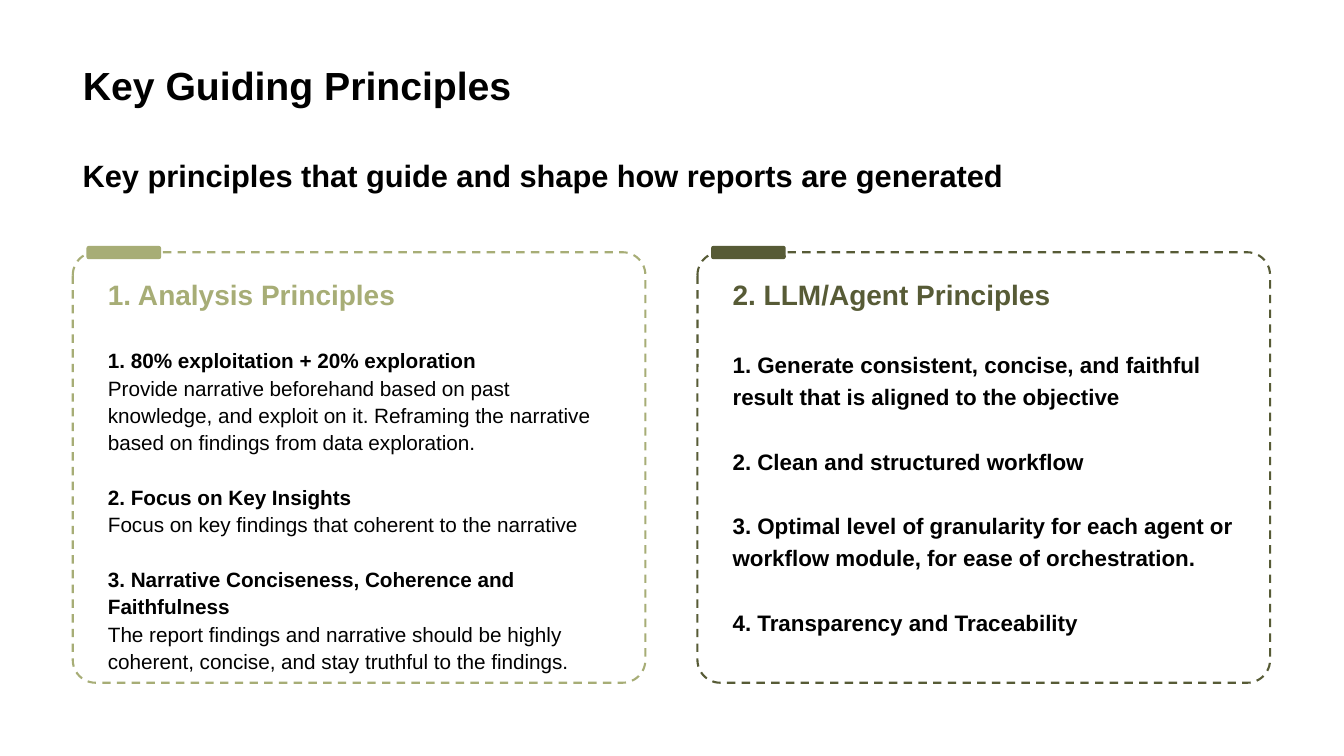
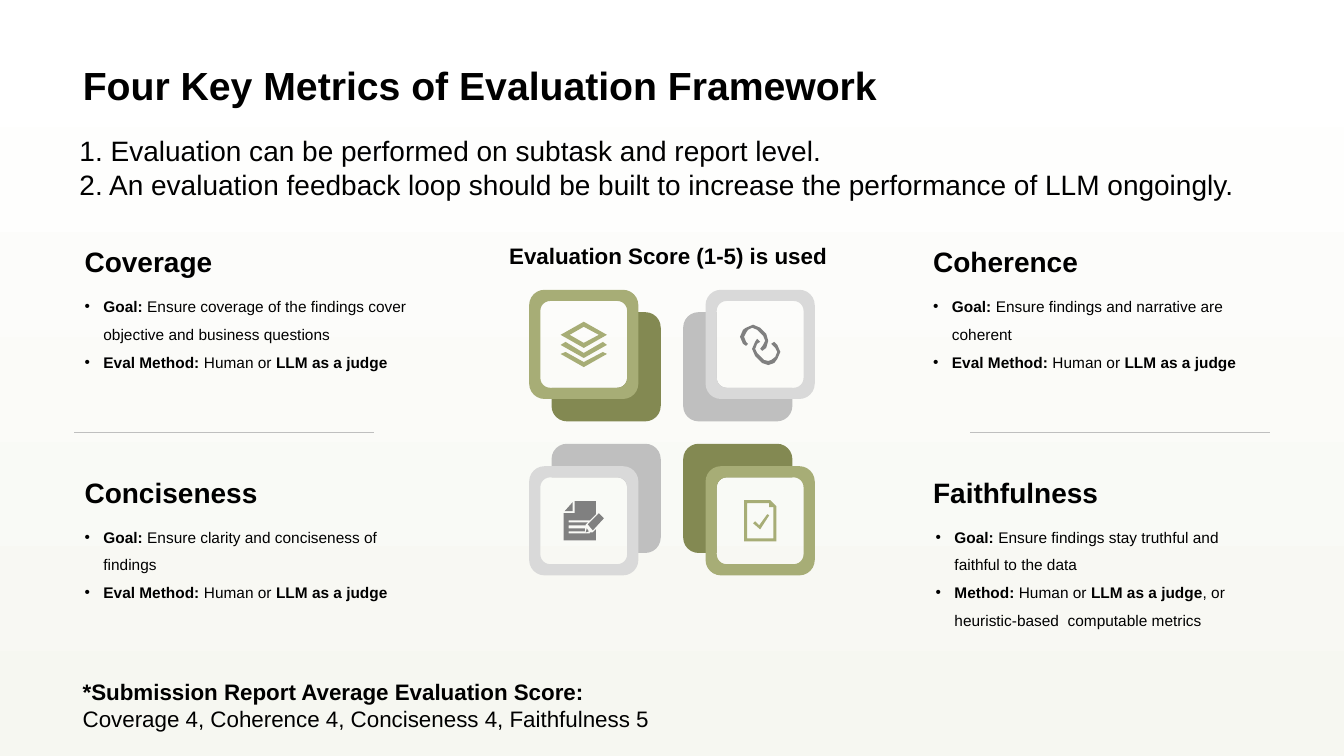
from math import cos, radians, sin
from lxml.etree import SubElement
from pptx import Presentation
from pptx.dml.color import RGBColor
from pptx.enum.dml import MSO_LINE
from pptx.enum.shapes import MSO_CONNECTOR, MSO_SHAPE
from pptx.enum.text import MSO_ANCHOR, MSO_AUTO_SIZE, PP_ALIGN
from pptx.oxml.ns import qn
from pptx.util import Pt

FONT = "Arial"
WIDE, HIGH = 960, 540
HEX = {
    "ink": "000000", "white": "FFFFFF", "mist": "F6F7F1",
    "sage": "A7AD76", "moss": "838952", "olive": "575B36",
    "pale": "D9D9D9", "silver": "BFBFBF", "gray": "808080",
}

CARDS = [
    {"head": "1. Analysis Principles", "color": "sage",
     "style": {"size": 14.8, "pitch": 1.1, "gap": 19.6},
     "lines": [
         "|1. 80% exploitation + 20% exploration|",
         "Provide narrative beforehand based on past knowledge, and exploit on it. "
         "Reframing the narrative based on findings from data exploration.",
         "|2. Focus on Key Insights|",
         "Focus on key findings that coherent to the narrative",
         "|3. Narrative Conciseness, Coherence and Faithfulness|",
         "The report findings and narrative should be highly coherent, concise, "
         "and stay truthful to the findings."]},
    {"head": "2. LLM/Agent Principles", "color": "olive",
     "style": {"size": 16, "pitch": 1.2, "gap": 23},
     "lines": [
         "|1. Generate consistent, concise, and faithful result that is aligned to the objective|",
         "|2. Clean and structured workflow|",
         "|3. Optimal level of granularity for each agent or workflow module, "
         "for ease of orchestration.|",
         "|4. Transparency and Traceability|"]},
]

JUDGE = "|Eval Method: |Human or |LLM as a judge|"
METRICS = [
    ("Coverage", 0, 0, 0, [
        "|Goal: |Ensure coverage of the findings cover objective and business questions", JUDGE]),
    ("Coherence", 1, 0, 0, ["|Goal: |Ensure findings and narrative are coherent", JUDGE]),
    ("Conciseness", 0, 1, 0, ["|Goal: |Ensure clarity and conciseness of findings", JUDGE]),
    ("Faithfulness", 1, 1, 1.8, [
        "|Goal: |Ensure findings stay truthful and faithful to the data",
        "|Method: |Human or |LLM as a judge|, or heuristic-based  computable metrics"]),
]
NOTES = [
    ((49.7, 91.9, 843, 55.4), 20, [
        "1. Evaluation can be performed on subtask and report level.",
        "2. An evaluation feedback loop should be built to increase the performance "
        "of LLM ongoingly."]),
    ((52, 481, 615, 46), 16, [
        "|*Submission Report Average Evaluation Score:|",
        "Coverage 4, Coherence 4, Conciseness 4, Faithfulness 5"]),
    ((356.6, 169.2, 245.5, 26.6), 16, ["|Evaluation Score (1-5) is used|"]),
]

LAYERS = [
    [(38, 13), (23, 5), (9, 13), (23, 21)],
    [(0, 13), (23, 0), (46, 13), (23, 26)],
    [(23, 31), (42, 20), (46, 23), (23, 36), (0, 23), (5, 20)],
    [(23, 40), (42, 30), (46, 32), (23, 45), (0, 32), (5, 30)],
]
LINK = [
    [(37, 21), (34, 18), (31, 20), (35, 24), (37, 28), (35, 33), (31, 36), (28, 37),
     (24, 36), (17, 29), (15, 25), (17, 20), (20, 18), (17, 15), (15, 18), (12, 25),
     (15, 32), (22, 39), (28, 41), (34, 39), (37, 35), (40, 28)],
    [(8, 6), (12, 4), (17, 6), (23, 12), (25, 17), (23, 21), (20, 25), (22, 27),
     (26, 24), (28, 17), (26, 10), (20, 4), (13, 1), (6, 4), (3, 6), (0, 13),
     (3, 20), (6, 22), (8, 20), (6, 18), (4, 13), (6, 9)],
]
MEMO = [
    [(24, 23), (35, 12), (40, 17), (29, 29)],
    [(22, 31), (25, 30), (23, 27)],
    [(26, 31), (26, 32), (5, 32), (5, 30), (21, 30), (21, 27), (5, 27), (5, 24),
     (22, 24), (22, 23), (24, 21), (5, 21), (5, 19), (26, 19), (32, 13), (32, 0),
     (11, 0), (11, 12), (0, 12), (0, 39), (32, 39), (32, 28), (29, 31)],
    [(9, 1), (1, 10), (9, 10)],
]
CHECK = [
    [(0, 0), (26, 0), (32, 6), (32, 41), (0, 41)],
    [(3, 3), (3, 38), (29, 38), (29, 7), (25, 7), (25, 3)],
    [(23, 14), (25, 15), (16, 29), (9, 23), (11, 21), (15, 25)],
]
GREEN = ("sage", "moss", "sage")
GRAY = ("pale", "silver", "gray")
TILES = [(0, 0, GREEN, LAYERS), (1, 0, GRAY, LINK), (0, 1, GRAY, MEMO), (1, 1, GREEN, CHECK)]


def rgb(name):
    return RGBColor.from_string(HEX[name])


def write(frame, lines, size=16, color="ink", anchor=MSO_ANCHOR.TOP,
          pitch=None, gap=0, bullet=False):
    frame.word_wrap = True
    frame.auto_size = MSO_AUTO_SIZE.NONE
    frame.vertical_anchor = anchor
    for row, line in enumerate(lines):
        para = frame.paragraphs[0] if row == 0 else frame.add_paragraph()
        para.alignment = PP_ALIGN.LEFT
        para.space_before = Pt(gap if row and line.startswith("|") else 0)
        if pitch:
            para.line_spacing = pitch
        if bullet:
            props = para._p.get_or_add_pPr()
            props.set("marL", str(Pt(13.5)))
            props.set("indent", str(-Pt(13.5)))
            SubElement(props, qn("a:buFont")).set("typeface", FONT)
            SubElement(props, qn("a:buChar")).set("char", "•")
        for part, words in enumerate(line.split("|")):
            if words:
                run = para.add_run()
                run.text = words
                run.font.name = FONT
                run.font.size = Pt(size)
                run.font.bold = part % 2 == 1
                run.font.color.rgb = rgb(color)


def label(slide, box, lines, **style):
    write(slide.shapes.add_textbox(*map(Pt, box)).text_frame, lines, **style)


def paint(shape, fill):
    shape.shadow.inherit = False
    shape.line.fill.background()
    if fill:
        shape.fill.solid()
        shape.fill.fore_color.rgb = rgb(fill)
    else:
        shape.fill.background()


def block(slide, box, fill=None, kind=MSO_SHAPE.ROUNDED_RECTANGLE):
    shape = slide.shapes.add_shape(kind, *map(Pt, box))
    paint(shape, fill)
    return shape


def wash(slide):
    shape = block(slide, (0, 0, WIDE, HIGH), kind=MSO_SHAPE.RECTANGLE)
    shape.fill.gradient()
    shape.fill.gradient_angle = 270
    for stop, place, name in zip(shape.fill.gradient_stops, (0.03, 1), ("white", "mist")):
        stop.position = place
        stop.color.rgb = rgb(name)
    slide.shapes.element.insert(2, shape.element)


def rule(slide, left, right, top):
    line = slide.shapes.add_connector(
        MSO_CONNECTOR.STRAIGHT, Pt(left), Pt(top), Pt(right), Pt(top))
    line.line.color.rgb = rgb("silver")
    line.line.width = Pt(0.25)
    SubElement(line.element.spPr, qn("a:effectLst"))


def draw(slide, loops, color, mid, flip=(1, 1)):
    pen = None
    for loop in loops:
        dots = [tuple(Pt(m + f * d) for m, f, d in zip(mid, flip, dot)) for dot in loop]
        if pen is None:
            pen = slide.shapes.build_freeform(*dots[0], scale=1)
        else:
            pen.move_to(*dots[0])
        pen.add_line_segments(dots[1:], close=True)
    paint(pen.convert_to_shape(), color)


def bend(x, y, size, start):
    turns = [radians(start + 15 * step) for step in range(7)]
    return [(x + size * cos(turn), y + size * sin(turn)) for turn in turns]


def square(half, size):
    edge = half - size
    spots = [(edge, edge), (-edge, edge), (-edge, -edge), (edge, -edge)]
    return [dot for turn, spot in enumerate(spots) for dot in bend(*spot, size, 90 * turn)]


def center(loops):
    unit = 0.72
    wide, high = (max(dot[axis] for loop in loops for dot in loop) for axis in (0, 1))
    return [[((x - wide / 2) * unit, (y - high / 2) * unit) for x, y in loop] for loop in loops]


RING = [square(39, 11), square(31, 7)[::-1]]
BACK = [[(31, -23), *bend(44, -12, 11, -90), *bend(44, 44, 11, 0),
         *bend(-12, 44, 11, 90), (-23, 31), *bend(24, 24, 7, 0)[::-1]]]


def tile(slide, col, row, colors, loops):
    mid = (417 + col * 126, 246 + row * 126)
    front, back, mark = colors
    draw(slide, BACK, back, mid, (1 - 2 * col, 1 - 2 * row))
    draw(slide, RING, front, mid)
    draw(slide, center(loops), mark, mid)


def page(deck, title):
    slide = deck.slides.add_slide(deck.slide_layouts[5])
    head = slide.shapes.title
    head.left, head.top, head.width, head.height = map(Pt, (52, 10.4, 855.4, 70.6))
    write(head.text_frame, [f"|{title}|"], size=28, anchor=MSO_ANCHOR.BOTTOM)
    return slide


def guide(deck):
    slide = page(deck, "Key Guiding Principles")
    label(slide, (52, 89.3, 855.4, 72),
          ["|Key principles that guide and shape how reports are generated|"],
          size=22, anchor=MSO_ANCHOR.MIDDLE)
    for col, card in enumerate(CARDS):
        left, color = 52 + col * 446.2, card["color"]
        panel = block(slide, (left, 180.2, 409, 307.5))
        panel.adjustments[0] = 0.053
        panel.line.color.rgb = rgb(color)
        panel.line.width = Pt(1.5)
        panel.line.dash_style = MSO_LINE.DASH
        block(slide, (left + 9.8, 175.7, 53.3, 9.4), fill=color)
        label(slide, (left + 18, 190, 373, 66), [f"|{card['head']}|"],
              size=20, color=color, pitch=1.2)
        label(slide, (left + 18, 243.4, 373, 258.5), card["lines"], **card["style"])


def score(deck):
    slide = page(deck, "Four Key Metrics of Evaluation Framework")
    wash(slide)
    for spot in TILES:
        tile(slide, *spot)
    for name, col, row, nudge, lines in METRICS:
        left, top = 53.3 + col * 606.1, 167.8 + row * 164.5
        label(slide, (left, top, 248, 34.6), [f"|{name}|"],
              size=20, anchor=MSO_ANCHOR.BOTTOM)
        label(slide, (left + nudge, top + 34.5, 248, 90), lines,
              size=11, pitch=1.5, bullet=True)
    for left in (53, WIDE - 53 - 214):
        rule(slide, left, left + 214, 309)
    for box, size, lines in NOTES:
        label(slide, box, lines, size=size)


def main():
    deck = Presentation()
    deck.slide_width, deck.slide_height = Pt(WIDE), Pt(HIGH)
    guide(deck)
    score(deck)
    deck.save("out.pptx")


if __name__ == "__main__":
    main()
